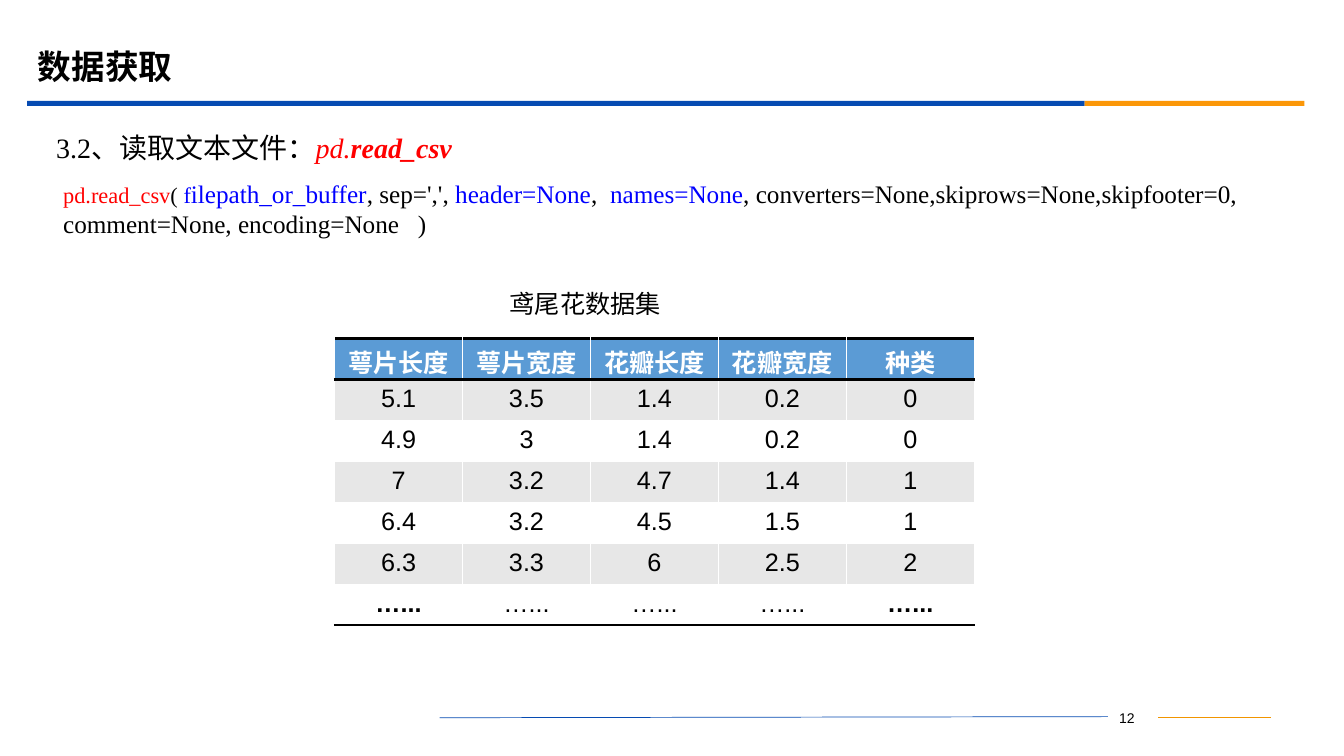
from lxml.etree import SubElement
from pptx import Presentation
from pptx.dml.color import RGBColor
from pptx.enum.shapes import MSO_CONNECTOR, MSO_SHAPE
from pptx.enum.text import MSO_ANCHOR, PP_ALIGN
from pptx.oxml import parse_xml
from pptx.oxml.ns import nsdecls, qn
from pptx.util import Pt

BLACK, WHITE, RED, BLUE = "000000", "FFFFFF", "FF0000", "0000FF"
NAVY, AMBER = "064BB2", "FB9708"
ROMAN = "Times New Roman"
ROWS = [
    ["萼片长度", "萼片宽度", "花瓣长度", "花瓣宽度", "种类"],
    ["5.1", "3.5", "1.4", "0.2", "0"],
    ["4.9", "3", "1.4", "0.2", "0"],
    ["7", "3.2", "4.7", "1.4", "1"],
    ["6.4", "3.2", "4.5", "1.5", "1"],
    ["6.3", "3.3", "6", "2.5", "2"],
    ["…..."] * 5,
]


def paint(color, tint):
    """Set a colour format from a hex string."""
    color.rgb = RGBColor.from_string(tint)


def add_run(para, text, tint=BLACK, **look):
    """Add a run with the given font values."""
    run = para.add_run()
    run.text = text
    for name, value in look.items():
        setattr(run.font, name, value)
    paint(run.font.color, tint)


def add_text(slide, box, runs, look, para=None, anchor=MSO_ANCHOR.TOP):
    """Place one wrapped paragraph of (text, colour, font values) runs."""
    frame = slide.shapes.add_textbox(*map(Pt, box)).text_frame
    frame.word_wrap = True
    frame.vertical_anchor = anchor
    line = frame.paragraphs[0]
    for name, value in (para or {}).items():
        setattr(line, name, value)
    for text, tint, more in runs:
        add_run(line, text, tint, **{**look, **more})


def add_bar(slide, box, tint):
    """Place a plain filled bar."""
    bar = slide.shapes.add_shape(MSO_SHAPE.RECTANGLE, *map(Pt, box))
    bar.shadow.inherit = False
    bar.fill.solid()
    paint(bar.fill.fore_color, tint)
    bar.line.fill.background()


def add_rule(slide, ends, tint, width):
    """Draw a thin straight line."""
    rule = slide.shapes.add_connector(MSO_CONNECTOR.STRAIGHT, *map(Pt, ends))
    paint(rule.line.color, tint)
    rule.line.width = Pt(width)
    SubElement(rule._element.spPr, qn("a:effectLst"))


def add_head(slide, box):
    """Place the title above its two-colour bar."""
    left, top, width, height = box
    add_text(slide, (left + 0.6, top, 864, 41.8),
             [("数据获取", BLACK, {})],
             {"size": Pt(24), "name": "Montserrat", "bold": True},
             {"line_spacing": 0.9}, MSO_ANCHOR.MIDDLE)
    split, thick = 755.3, 3.6
    base = top + height - thick
    add_bar(slide, (left, base, split, thick), NAVY)
    add_bar(slide, (left + split, base, width - split, thick), AMBER)


def add_body(slide, box):
    """Place the section line and the function call under it."""
    left, top, width, height = box
    first = 33.8
    add_text(slide, (left, top, width, first),
             [("3.2、读取文本文件：", BLACK, {}),
              ("pd.", RED, {"italic": True}),
              ("read_csv", RED, {"italic": True, "bold": True})],
             {"size": Pt(20), "name": ROMAN},
             {"line_spacing": 0.9, "space_before": Pt(10)}, MSO_ANCHOR.MIDDLE)
    small = {"size": Pt(16)}
    add_text(slide, (left + 5, top + first, 854, height - first),
             [("pd.read_csv", RED, small), ("( ", BLACK, small),
              ("f", BLUE, small), ("ilepath_or_buffer", BLUE, {}),
              (", sep=',', ", BLACK, {}), ("header=None", BLUE, {}),
              (",  ", BLACK, {}), ("names=None", BLUE, {}),
              (", converters=None,skiprows=None,skipfooter=0, "
               "comment=None, encoding=None   )", BLACK, {})],
             {"size": Pt(18), "name": ROMAN}, {"space_before": Pt(10)})


def add_edge(cell, sides):
    """Draw black borders on the named sides of a cell."""
    props = cell._tc.get_or_add_tcPr()
    for spot, side in enumerate(sides):
        props.insert(spot, parse_xml(
            f'<a:ln{side} {nsdecls("a")} w="25400"><a:solidFill>'
            f'<a:srgbClr val="{BLACK}"/></a:solidFill></a:ln{side}>'))


def add_grid(slide, box):
    """Place the caption and the banded data table."""
    left, top, width, height = box
    add_text(slide, (left + 118, top, 183, 29),
             [("鸢尾花数据集", BLACK, {})], {"size": Pt(18), "name": "Arial"})
    gap = 39.6
    rows, cols = len(ROWS), len(ROWS[0])
    area = (left, top + gap, width, height - gap)
    table = slide.shapes.add_table(rows, cols, *map(Pt, area)).table
    for col in table.columns:
        col.width = Pt(width / cols)
    for row in table.rows:
        row.height = Pt((height - gap) / rows)
    sides = {0: "TB", rows - 1: "B"}
    for r, texts in enumerate(ROWS):
        for c, text in enumerate(texts):
            cell = table.cell(r, c)
            cell.fill.solid()
            band = "E7E7E7" if r % 2 else WHITE
            paint(cell.fill.fore_color, band if r else "5B9BD5")
            add_edge(cell, sides.get(r, ""))
            para = cell.text_frame.paragraphs[0]
            para.alignment = PP_ALIGN.CENTER
            bold = r == 0 or (r == rows - 1 and c in (0, cols - 1))
            add_run(para, text, BLACK if r else WHITE,
                    size=Pt(18), name="Arial", bold=bold)


def add_foot(slide, box):
    """Place the page number between two thin lines."""
    left, top, width, height = box
    mid = top + height / 2
    page, size = left + 468.7, 44.6
    add_rule(slide, (left, mid + 0.4, left + 477.4, mid - 0.4), NAVY, 0.5)
    add_rule(slide, (page + size, mid, left + width, mid), "F19500", 0.75)
    add_text(slide, (page, top, size, height), [("12", BLACK, {})],
             {"size": Pt(10), "name": "Arial"},
             {"alignment": PP_ALIGN.CENTER})


def main():
    """Build the slide and save it."""
    deck = Presentation()
    deck.slide_width, deck.slide_height = Pt(960), Pt(540)
    slide = deck.slides.add_slide(deck.slide_layouts[6])
    add_head(slide, (19.4, 28, 912.3, 47.6))
    add_body(slide, (33, 90, 875, 85))
    add_grid(slide, (239, 202.3, 457, 244.3))
    add_foot(slide, (314, 503.3, 594, 18))
    deck.save("out.pptx")


if __name__ == "__main__":
    main()
